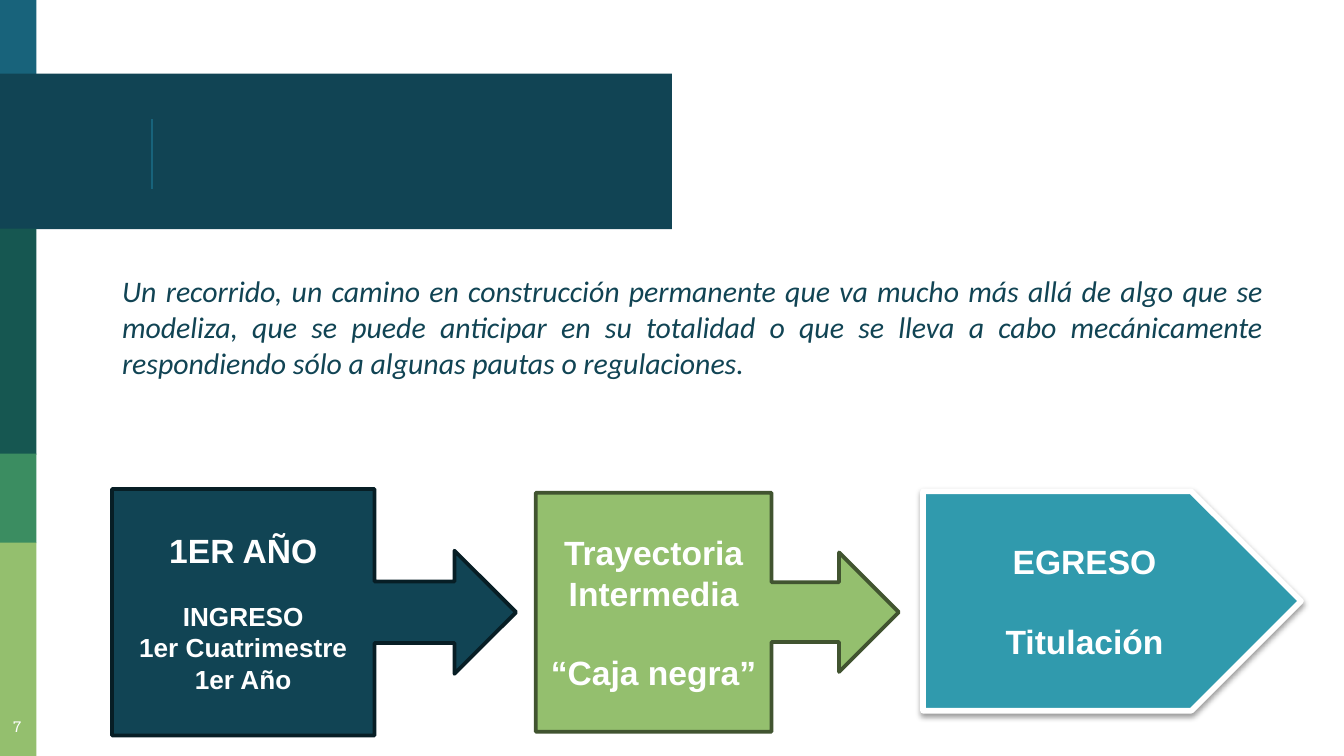
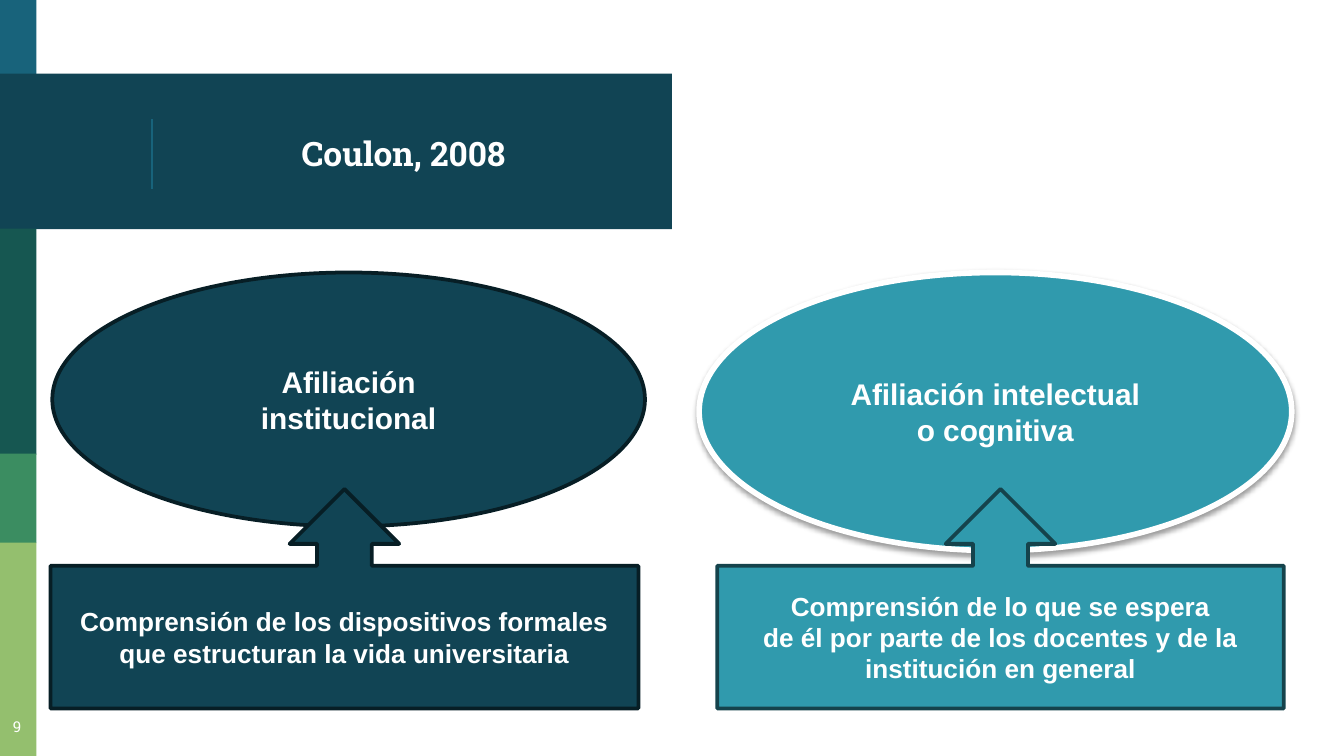
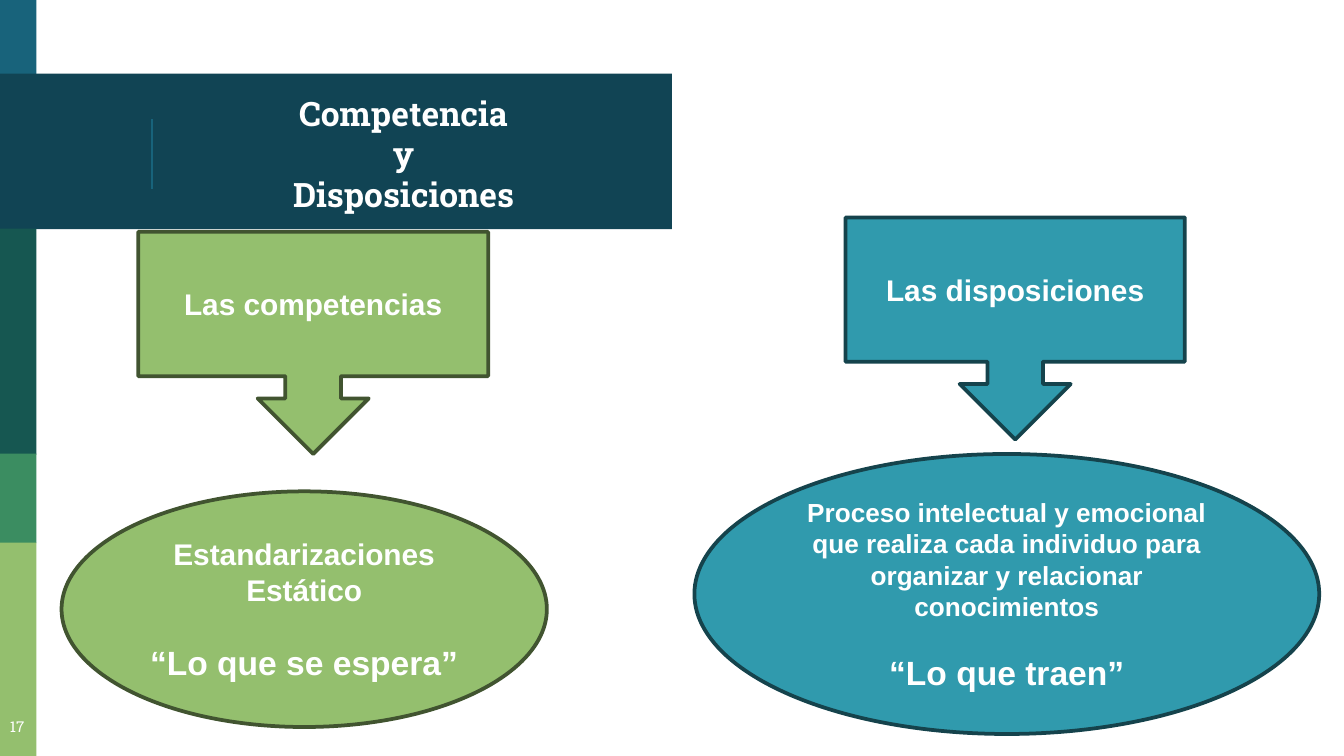
from lxml.etree import SubElement
from pptx import Presentation
from pptx.dml.color import RGBColor
from pptx.enum.shapes import MSO_CONNECTOR, MSO_SHAPE
from pptx.enum.text import MSO_ANCHOR, PP_ALIGN
from pptx.oxml.ns import qn
from pptx.util import Pt

NAVY, GREEN, TEAL, BLUE, WHITE = "114454", "94BF6E", "309AAD", "18637B", "FFFFFF"
OUTLINES = {NAVY: "071E25", GREEN: "415430", TEAL: "15434C"}
BANDS = [  # left, top, width, height, colour
    (0, 0, 19.5, 42, BLUE),
    (0, 39.5, 360, 83.25, NAVY),
    (0, 122.5, 19.5, 121, "165751"),
    (0, 243, 19.5, 48, "3B8D61"),
    (0, 290.75, 19.5, 114.25, GREEN),
]


def color(value):
    return RGBColor.from_string(value)


class Deck:
    heading_font = "Roboto Slab"
    body_font = "Calibri"
    shape_font = "Arial"

    def __init__(self):
        self.deck = Presentation()
        self.deck.slide_width, self.deck.slide_height = Pt(720), Pt(405)
        self.page = None

    def add_page(self, number, title_lines=()):
        self.page = self.deck.slides.add_slide(self.deck.slide_layouts[6])
        for *place, fill in BANDS:
            self.shape(MSO_SHAPE.RECTANGLE, place, fill)
        self.rule(81.5, 64, 101)
        if title_lines:
            self.title(title_lines)
        paragraph = self.text_box((-4.5, 379.5, 27.5, 25)).paragraphs[0]
        paragraph.alignment = PP_ALIGN.CENTER
        self.span(paragraph, number, 8, self.heading_font)

    def rule(self, left, top, bottom):
        line = self.page.shapes.add_connector(
            MSO_CONNECTOR.STRAIGHT, Pt(left), Pt(top), Pt(left), Pt(bottom))
        line.line.color.rgb = color(BLUE)
        line.line.width = Pt(0.75)
        SubElement(line._element.spPr, qn("a:effectLst"))

    def shape(self, kind, place, fill, outline=None, width=2):
        shape = self.page.shapes.add_shape(kind, *map(Pt, place))
        shape.shadow.inherit = False
        shape.fill.solid()
        shape.fill.fore_color.rgb = color(fill)
        if outline:
            shape.line.color.rgb = color(outline)
            shape.line.width = Pt(width)
        else:
            shape.line.fill.background()
        return shape

    def node(self, kind, place, fill, lines, raised=False):
        """Labelled shape; lines hold text, size and optional space before.

        A raised node has a white outline and a soft shadow.
        """
        if raised:
            shape = self.shape(kind, place, fill, WHITE, 3)
            self.cast_shadow(shape)
        else:
            shape = self.shape(kind, place, fill, OUTLINES[fill])
        frame = shape.text_frame
        frame.word_wrap = True
        frame.vertical_anchor = MSO_ANCHOR.MIDDLE
        for index, (text, size, *gap) in enumerate(lines):
            paragraph = frame.add_paragraph() if index else frame.paragraphs[0]
            paragraph.alignment = PP_ALIGN.CENTER
            if gap:
                paragraph.space_before = Pt(gap[0])
            self.span(paragraph, text, size, self.shape_font, bold=True)

    def cast_shadow(self, shape):
        effects = shape._element.spPr.find(qn("a:effectLst"))
        shadow = SubElement(effects, qn("a:outerShdw"), blurRad=str(Pt(3.1)),
                            dist=str(Pt(1.6)), dir="5400000", rotWithShape="0")
        black = SubElement(shadow, qn("a:srgbClr"), val="000000")
        SubElement(black, qn("a:alpha"), val="38000")

    def text_box(self, place):
        frame = self.page.shapes.add_textbox(*map(Pt, place)).text_frame
        frame.word_wrap = True
        frame.margin_left = frame.margin_right = Pt(7.2)
        frame.margin_top = frame.margin_bottom = Pt(7.2)
        return frame

    def title(self, lines):
        frame = self.text_box((90, 42, 252.5, 80.5))
        frame.vertical_anchor = MSO_ANCHOR.MIDDLE
        paragraph = frame.paragraphs[0]
        paragraph.alignment = PP_ALIGN.CENTER
        for index, line in enumerate(lines):
            if index:
                paragraph.add_line_break()
            self.span(paragraph, line, 18, self.heading_font, bold=True)

    def body(self, text):
        paragraph = self.text_box((54, 139, 630, 248.5)).paragraphs[0]
        paragraph.alignment = PP_ALIGN.JUSTIFY
        paragraph._p.get_or_add_pPr().set("marL", str(Pt(4.3)))
        self.span(paragraph, text, 16, self.body_font, NAVY, italic=True)

    def span(self, paragraph, text, size, font, fill=WHITE, bold=False, italic=False):
        span = paragraph.add_run()
        span.text = text
        span.font.name = font
        span.font.size = Pt(size)
        span.font.bold = bold
        span.font.italic = italic
        span.font.color.rgb = color(fill)


def add_path_page(deck):
    deck.add_page("7")
    deck.body(
        "Un recorrido, un camino en construcción permanente que va mucho más allá "
        "de algo que se modeliza, que se puede anticipar en su totalidad o que se "
        "lleva a cabo mecánicamente respondiendo sólo a algunas pautas o regulaciones.")
    deck.node(MSO_SHAPE.RIGHT_ARROW_CALLOUT, (60, 262, 216.5, 132), NAVY,
              [("1ER AÑO", 18), ("INGRESO", 14, 16),
               ("1er Cuatrimestre", 14), ("1er Año", 14)])
    deck.node(MSO_SHAPE.RIGHT_ARROW_CALLOUT, (287, 264, 194.5, 128), GREEN,
              [("Trayectoria", 18), ("Intermedia", 18), ("“Caja negra”", 18, 21)])
    deck.node(MSO_SHAPE.PENTAGON, (494.5, 263.25, 202.5, 117.5), TEAL,
              [("EGRESO", 18), ("Titulación", 18, 21)], raised=True)


def add_affiliation_page(deck):
    deck.add_page("9", ["Coulon, 2008"])
    deck.node(MSO_SHAPE.OVAL, (28, 146, 317.5, 136), NAVY,
              [("Afiliación", 16), ("institucional", 16)])
    deck.node(MSO_SHAPE.OVAL, (374.5, 146, 317.5, 149), TEAL,
              [("Afiliación intelectual", 16), ("o cognitiva", 16)], raised=True)
    deck.node(MSO_SHAPE.UP_ARROW_CALLOUT, (27, 262, 315, 117.5), NAVY,
              [("Comprensión de los dispositivos formales", 14),
               ("que estructuran la vida universitaria", 14)])
    deck.node(MSO_SHAPE.UP_ARROW_CALLOUT, (384.25, 262, 303.5, 117.5), TEAL,
              [("Comprensión de lo que se espera", 14),
               ("de él por parte de los docentes y de la", 14),
               ("institución en general", 14)])


def add_competence_page(deck):
    deck.add_page("17", ["Competencia", "y", "Disposiciones"])
    deck.node(MSO_SHAPE.DOWN_ARROW_CALLOUT, (74, 124.25, 187.5, 119), GREEN,
              [("Las competencias", 16)])
    deck.node(MSO_SHAPE.DOWN_ARROW_CALLOUT, (453, 116.5, 181.75, 119), TEAL,
              [("Las disposiciones", 16)])
    deck.node(MSO_SHAPE.OVAL, (33, 263.25, 260, 126.25), GREEN,
              [("Estandarizaciones", 16), ("Estático", 16),
               ("“Lo que se espera”", 18, 18.5)])
    deck.node(MSO_SHAPE.OVAL, (372, 243.25, 334.75, 150), TEAL,
              [("Proceso intelectual y emocional que realiza cada individuo "
                "para organizar y relacionar conocimientos", 14),
               ("“Lo que traen”", 18, 16)])


def main():
    deck = Deck()
    add_path_page(deck)
    add_affiliation_page(deck)
    add_competence_page(deck)
    deck.deck.save("out.pptx")


if __name__ == "__main__":
    main()
